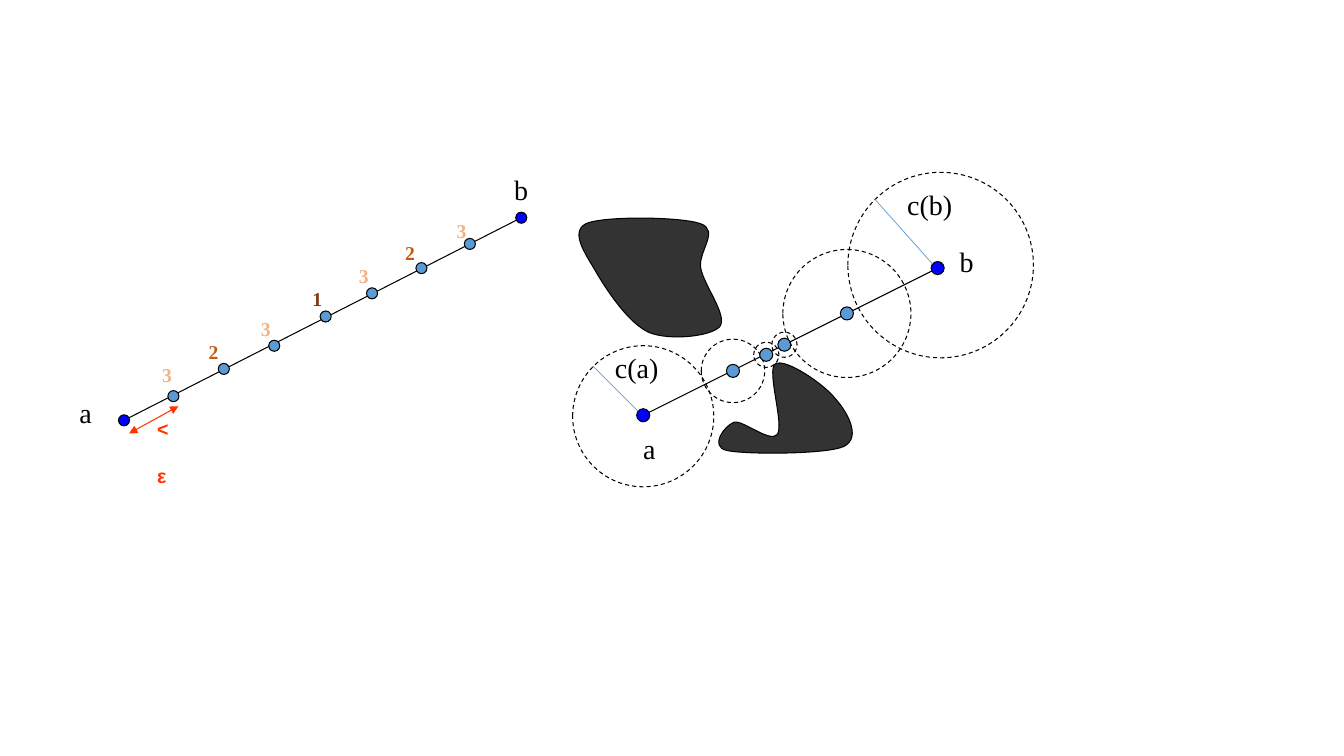
from pptx import Presentation, util as u
from pptx.dml.color import RGBColor
from pptx.enum import dml, shapes, text
from pptx.oxml.ns import qn
from lxml import etree

PX = 9144  # 100 px to the inch
BLACK, BLUE, SKY, RED, DARK = "000000", "0000FF", "5B9BD5", "FF3300", "333333"
SERIF, SANS = "Times New Roman", "Arial"

# Left: segment split by repeated halving; level, dot centre, label corner
PATH = [(123, 417), (517, 216)]
STEPS = [
    (3, (172, 393), (151, 355)),
    (2, (222, 366), (197, 332)),
    (3, (272, 343), (249, 309)),
    (1, (323, 314), (300, 280)),
    (3, (369, 291), (346, 257)),
    (2, (418, 266), (392, 234)),
    (3, (466, 242), (443, 212)),
]
LEVELS = {1: "843C0B", 2: "C55A11", 3: "F4B183"}
GAP = [(128, 430), (177, 403)]

# Right: segment walked by clearance; dot centre, ring centre, ring width
ROUTE = [(638, 412), (930, 266)]
RINGS = [
    (ROUTE[0], (638, 413), 140),
    ((727, 368), (727, 368), 63),
    ((760, 352), (760, 352), 25),
    ((778, 342), (778, 342), 25),
    ((840, 311), (840, 311), 127),
    (ROUTE[1], (933, 263), 184),
]
RADII = [[(633, 408), (588, 363)], [(925, 262), (868, 198)]]

# Obstacles: start point, then three points for each curve
BLOBS = [
    [(593, 273), (604, 291), (624, 321), (644, 330), (664, 338), (705, 334),
     (714, 324), (722, 313), (698, 283), (695, 266), (692, 250), (714, 229),
     (695, 222), (676, 215), (598, 214), (581, 222), (564, 231), (583, 255),
     (593, 273)],
    [(728, 419), (719, 422), (703, 443), (721, 447), (739, 451), (819, 451),
     (837, 443), (855, 434), (840, 408), (828, 395), (817, 381), (779, 355),
     (769, 361), (760, 367), (778, 421), (771, 431), (764, 440), (736, 416),
     (728, 419)],
]

# Names: words, left, top, width
NAMES = [("a", 69, 387, 36), ("b", 500, 166, 36), ("a", 628, 423, 51),
         ("b", 942, 238, 36), ("c(a)", 600, 343, 67), ("c(b)", 890, 181, 67)]

deck = Presentation()
deck.slide_width, deck.slide_height = 1333 * PX, 750 * PX
slide = deck.slides.add_slide(deck.slide_layouts[6])
parts = slide.shapes


def tint(code):
    return RGBColor.from_string(code)


def style(shape, fill=None, dash=False):
    shape.shadow.inherit = False
    if fill:
        shape.fill.solid()
        shape.fill.fore_color.rgb = tint(fill)
    else:
        shape.fill.background()
    shape.line.color.rgb = tint(BLACK)
    shape.line.width = u.Pt(0.75)
    if dash:
        shape.line.dash_style = dml.MSO_LINE.DASH


def disc(mid, size, fill=None, dash=False):
    left, top = [int((v - size / 2) * PX) for v in mid]
    style(parts.add_shape(shapes.MSO_SHAPE.OVAL, left, top, size * PX, size * PX),
          fill, dash)


def line(ends, color=BLACK, width=0.75, arrows=False):
    (x1, y1), (x2, y2) = ends
    rule = parts.add_connector(shapes.MSO_CONNECTOR.STRAIGHT,
                               x1 * PX, y1 * PX, x2 * PX, y2 * PX)
    rule.line.color.rgb = tint(color)
    rule.line.width = u.Pt(width)
    if arrows:
        for tag in ("a:headEnd", "a:tailEnd"):
            etree.SubElement(rule.line._get_or_add_ln(), qn(tag), type="triangle")
    etree.SubElement(rule._element.spPr, qn("a:effectLst"))


def label(words, left, top, width, high, **form):
    frame = parts.add_textbox(left * PX, top * PX, width * PX, high * PX).text_frame
    frame.word_wrap = True
    frame.auto_size = text.MSO_AUTO_SIZE.NONE
    run = frame.paragraphs[0].add_run()
    run.text = words
    run.font.color.rgb = tint(form.pop("color", BLACK))
    for key, value in form.items():
        setattr(run.font, key, value)


def blob(knots):
    build = parts.build_freeform(*knots[0], scale=PX)
    build.add_line_segments(knots[1:], close=True)
    shape = build.convert_to_shape()
    # Turn each three line points into one curve
    sides = list(shape._element.iter(qn("a:lnTo")))
    for i in range(0, len(sides) - 2, 3):
        curve = etree.Element(qn("a:cubicBezTo"))
        sides[i].addprevious(curve)
        for side in sides[i:i + 3]:
            curve.append(side[0])
            side.getparent().remove(side)
    style(shape, DARK)


bold = dict(size=u.Pt(14), bold=True)

# Halving figure
line(PATH)
for end in PATH:
    disc(end, 11, BLUE)
for level, dot, spot in STEPS:
    disc(dot, 11, SKY)
    label(str(level), *spot, 31, 34, name=SERIF, color=LEVELS[level], **bold)
line(GAP, RED, arrows=True)
label("< ε", 146, 409, 31, 56, name=SANS, color=RED, **bold)

# Clearance figure
line(ROUTE)
for knots in BLOBS:
    blob(knots)
for dot, mid, size in RINGS:
    disc(mid, size, dash=True)
    disc(dot, 13, BLUE if dot in ROUTE else SKY)
for ends in RADII:
    line(ends, SKY, 0.5)

# Point and radius names
for words, left, top, width in NAMES:
    label(words, left, top, width, 44, name=SERIF, size=u.Pt(20))

deck.save("out.pptx")
